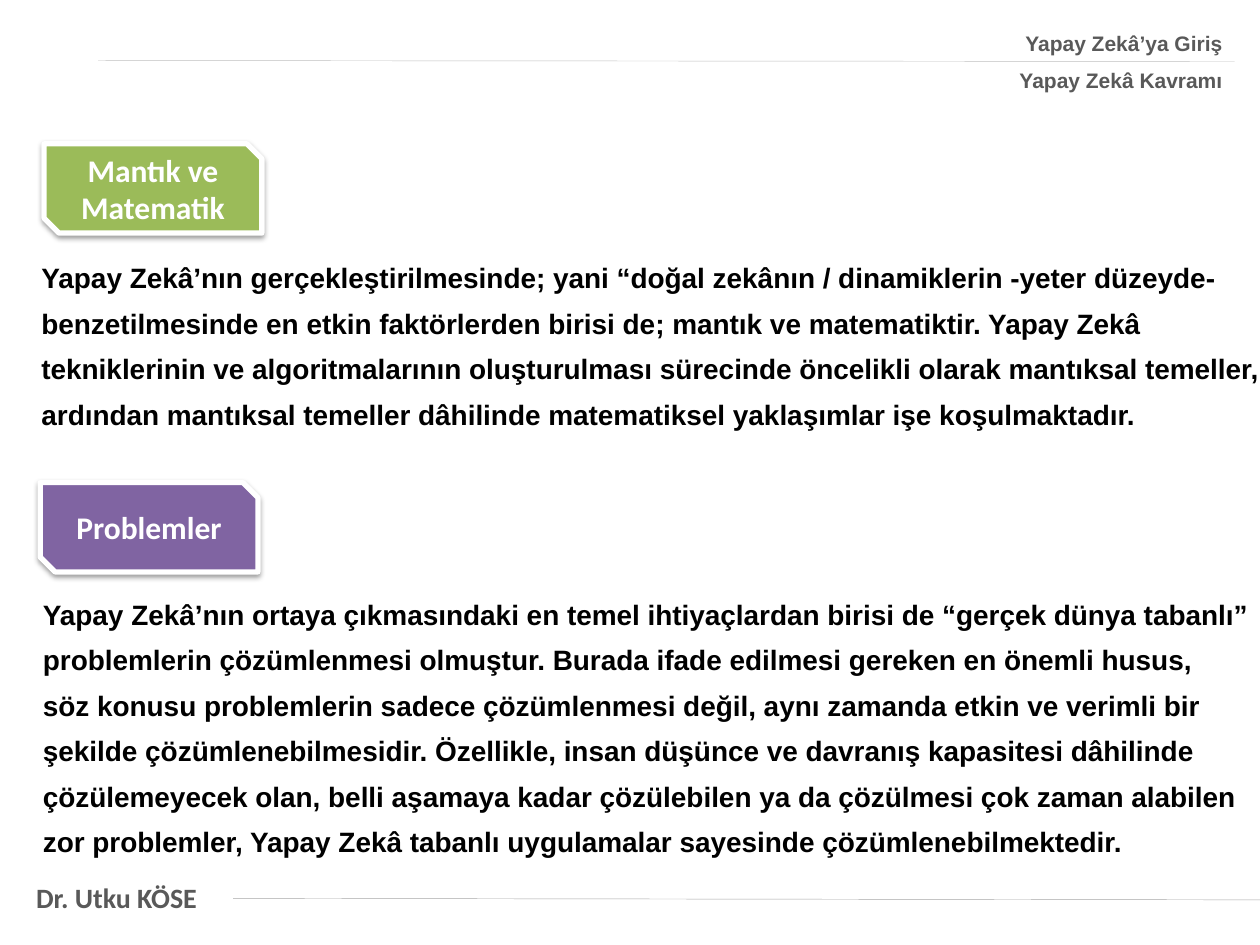
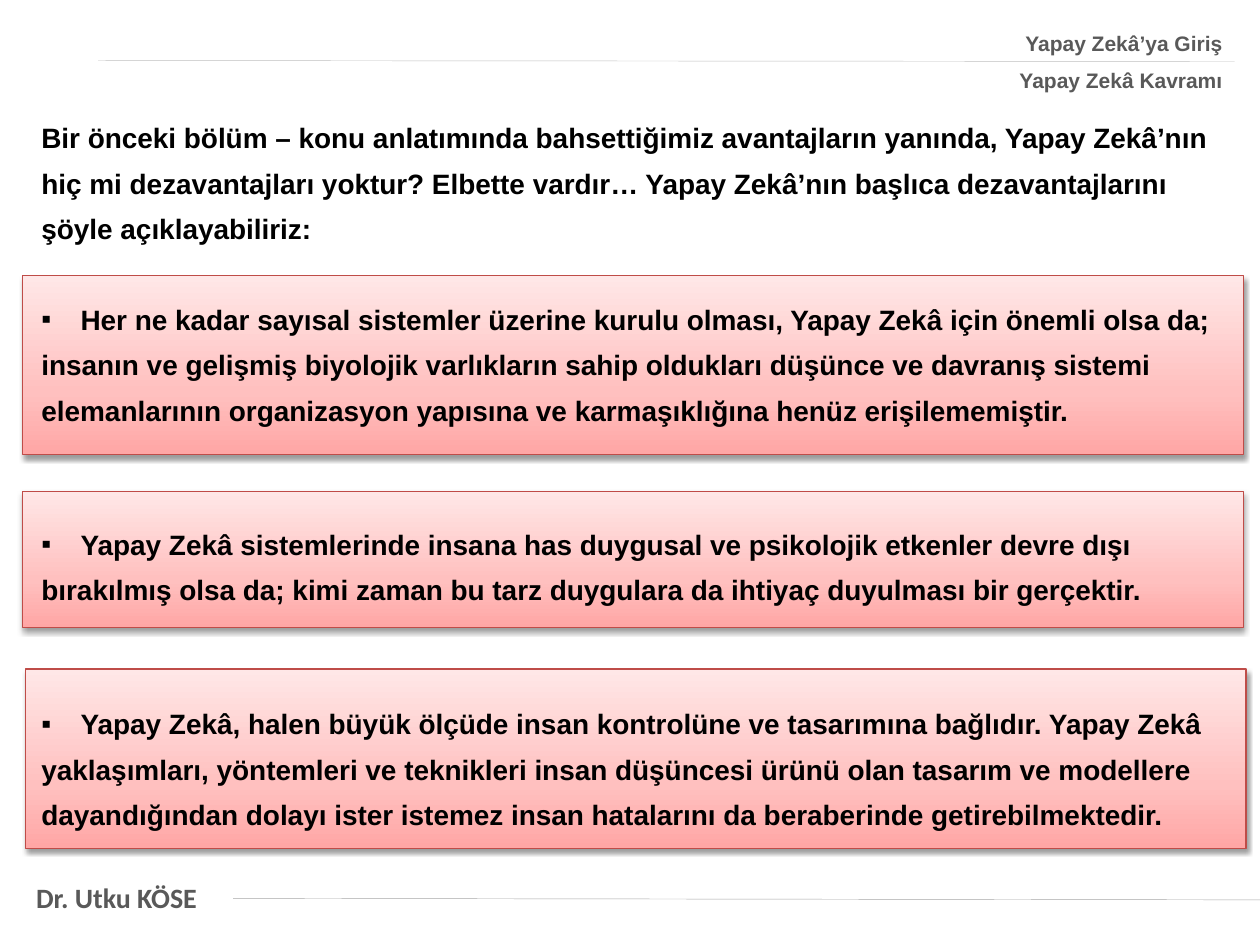
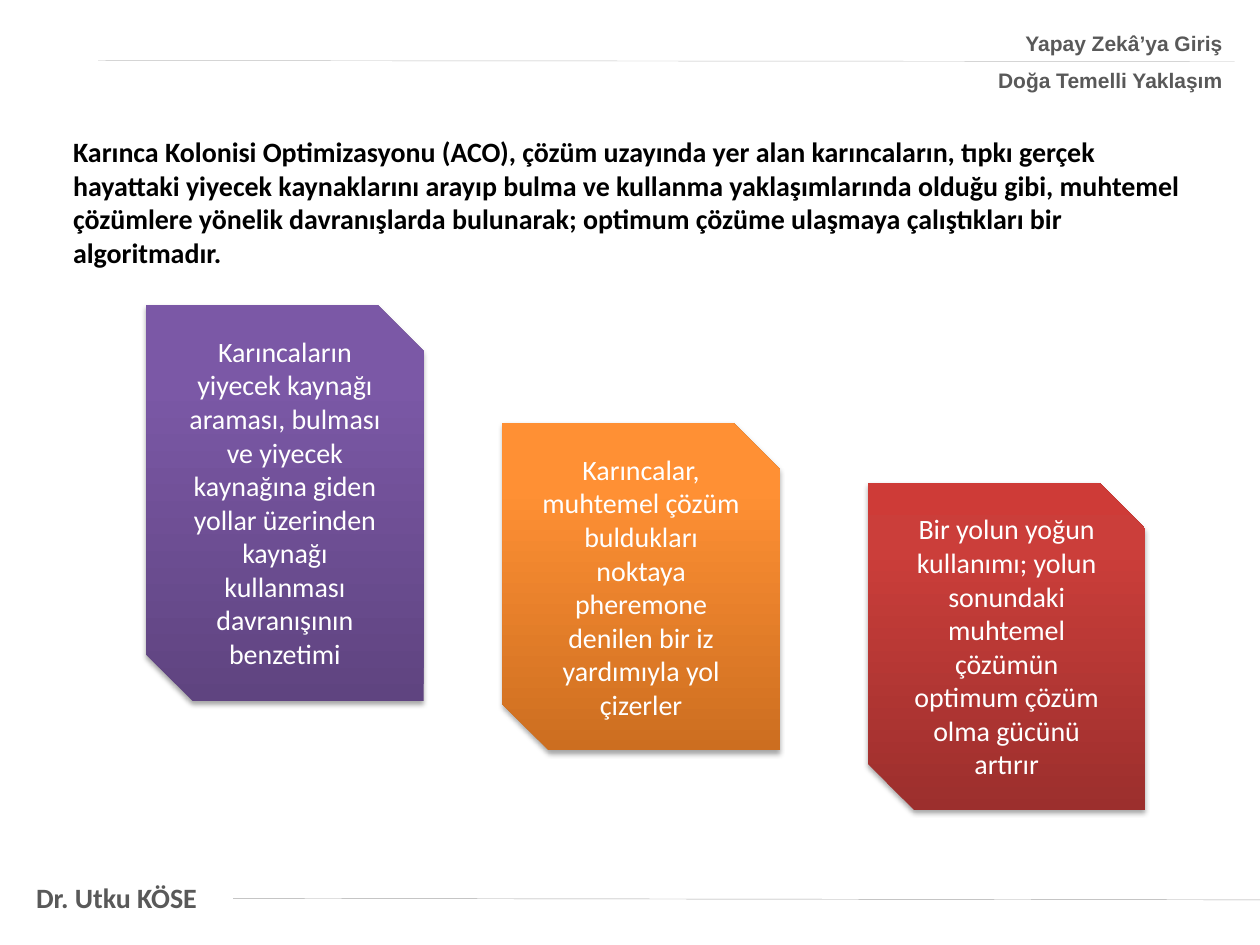
import pptx
import pptx.util
import pptx.dml.color
import pptx.enum.shapes
import pptx.enum.text
import pptx.oxml
import pptx.oxml.ns
from lxml import etree

Cm, Pt = pptx.util.Cm, pptx.util.Pt
SHAPE = pptx.enum.shapes.MSO_SHAPE
ALIGN = pptx.enum.text.PP_ALIGN
ANCHOR = pptx.enum.text.MSO_ANCHOR
qn = pptx.oxml.ns.qn

COLORS = {
    "text": "000000", "muted": "595959", "white": "FFFFFF",
    "header_rule": "BFBFBF", "footer_rule": "A6A6A6",
    "green": "9BBB59", "purple": "8064A2", "drawback_edge": "BF4C48",
}
# Gradient stops run from the bottom of a shape to its top.
GRADIENTS = {
    "drawback": [(0, "FFA6A5"), (35, "FFC0BF"), (100, "FFE7E7")],
    "purple": [(0, "5F4480"), (80, "7B58A6"), (100, "7C57A8")],
    "orange": [(0, "CC6E20"), (80, "FF9034"), (100, "FF9136")],
    "red": [(0, "9C2F2D"), (80, "CB3E3A"), (100, "CE3B37")],
}
FONTS = {
    "header": {"name": "Arial", "size": Pt(12), "bold": True, "color": "muted"},
    "footer": {"name": "Calibri", "size": Pt(16), "bold": True, "color": "muted"},
    "body": {"name": "Arial", "size": Pt(16), "bold": True, "color": "text"},
    "summary": {"name": "Calibri", "size": Pt(16), "bold": True, "color": "text"},
    "label": {"name": "Calibri", "size": Pt(18), "bold": True, "color": "white"},
    "step": {"name": "Calibri", "size": Pt(16), "bold": False, "color": "white"},
}
LINE_GAP = 6.8
ITEM_GAP = 50.5
BULLET_INDENT = Cm(0.79)

COURSE = "Yapay Zekâ’ya Giriş"
CONCEPT = "Yapay Zekâ Kavramı"

TOPICS = [
    {"label": "Mantık ve Matematik", "color": "green",
     "label_box": (0.89, 2.9, 4.39, 1.8), "text_box": (0.58, 5.13, 25.4, 3.63),
     "lines": [
         "Yapay Zekâ’nın gerçekleştirilmesinde; yani “doğal zekânın / dinamiklerin -yeter düzeyde-",
         "benzetilmesinde en etkin faktörlerden birisi de; mantık ve matematiktir. Yapay Zekâ",
         "tekniklerinin ve algoritmalarının oluşturulması sürecinde öncelikli olarak mantıksal temeller,",
         "ardından mantıksal temeller dâhilinde matematiksel yaklaşımlar işe koşulmaktadır."]},
    {"label": "Problemler", "color": "purple",
     "label_box": (0.81, 9.73, 4.39, 1.8), "text_box": (0.61, 11.91, 25.3, 5.44),
     "lines": [
         "Yapay Zekâ’nın ortaya çıkmasındaki en temel ihtiyaçlardan birisi de “gerçek dünya tabanlı”",
         "problemlerin çözümlenmesi olmuştur. Burada ifade edilmesi gereken en önemli husus,",
         "söz konusu problemlerin sadece çözümlenmesi değil, aynı zamanda etkin ve verimli bir",
         "şekilde çözümlenebilmesidir. Özellikle, insan düşünce ve davranış kapasitesi dâhilinde",
         "çözülemeyecek olan, belli aşamaya kadar çözülebilen ya da çözülmesi çok zaman alabilen",
         "zor problemler, Yapay Zekâ tabanlı uygulamalar sayesinde çözümlenebilmektedir."]},
]

DRAWBACK_INTRO = [
    "Bir önceki bölüm – konu anlatımında bahsettiğimiz avantajların yanında, Yapay Zekâ’nın",
    "hiç mi dezavantajları yoktur? Elbette vardır… Yapay Zekâ’nın başlıca dezavantajlarını",
    "şöyle açıklayabiliriz:",
]
DRAWBACKS = [
    ["Her ne kadar sayısal sistemler üzerine kurulu olması, Yapay Zekâ için önemli olsa da;",
     "insanın ve gelişmiş biyolojik varlıkların sahip oldukları düşünce ve davranış sistemi",
     "elemanlarının organizasyon yapısına ve karmaşıklığına henüz erişilememiştir."],
    ["Yapay Zekâ sistemlerinde insana has duygusal ve psikolojik etkenler devre dışı",
     "bırakılmış olsa da; kimi zaman bu tarz duygulara da ihtiyaç duyulması bir gerçektir."],
    ["Yapay Zekâ, halen büyük ölçüde insan kontrolüne ve tasarımına bağlıdır. Yapay Zekâ",
     "yaklaşımları, yöntemleri ve teknikleri insan düşüncesi ürünü olan tasarım ve modellere",
     "dayandığından dolayı ister istemez insan hatalarını da beraberinde getirebilmektedir."],
]
DRAWBACK_PANELS = [(0.46, 5.56, 24.61, 3.61), (0.46, 9.91, 24.61, 2.74),
                   (0.51, 13.49, 24.61, 3.61)]

ANT_SUMMARY = (
    "Karınca Kolonisi Optimizasyonu (ACO), çözüm uzayında yer alan karıncaların, tıpkı gerçek "
    "hayattaki yiyecek kaynaklarını arayıp bulma ve kullanma yaklaşımlarında olduğu gibi, "
    "muhtemel çözümlere yönelik davranışlarda bulunarak; optimum çözüme ulaşmaya çalıştıkları "
    "bir algoritmadır.")
ANT_STEPS = [
    ("purple", (2.95, 6.15, 5.59, 7.98),
     "Karıncaların yiyecek kaynağı araması, bulması ve yiyecek kaynağına giden yollar "
     "üzerinden kaynağı kullanması davranışının benzetimi"),
    ("orange", (10.13, 8.53, 5.59, 6.6),
     "Karıncalar, muhtemel çözüm buldukları noktaya pheremone denilen bir iz yardımıyla "
     "yol çizerler"),
    ("red", (17.5, 9.73, 5.59, 6.6),
     "Bir yolun yoğun kullanımı; yolun sonundaki muhtemel çözümün optimum çözüm olma "
     "gücünü artırır"),
]


def rgb(color):
    return pptx.dml.color.RGBColor.from_string(COLORS[color])


def cm_box(box):
    return [Cm(length) for length in box]


def place(placeholder, box):
    for side, length in zip(("left", "top", "width", "height"), cm_box(box)):
        setattr(placeholder, side, length)


def set_bullet(paragraph, mark=None):
    """Give the paragraph a hanging bullet, or clear the inherited one."""
    properties = paragraph._p.get_or_add_pPr()
    indent = BULLET_INDENT if mark else 0
    properties.set("marL", str(indent))
    properties.set("indent", str(-indent))
    if mark:
        etree.SubElement(properties, qn("a:buFont")).set("typeface", "Arial")
        etree.SubElement(properties, qn("a:buChar")).set("char", mark)
    else:
        etree.SubElement(properties, qn("a:buNone"))


def write(shape, lines, style, align=ALIGN.LEFT, anchor=ANCHOR.TOP, gap=0, item_starts=()):
    """Write one paragraph per line; lines numbered in item_starts open a bullet."""
    frame = shape.text_frame
    settings = {"word_wrap": True, "vertical_anchor": anchor,
                "auto_size": pptx.enum.text.MSO_AUTO_SIZE.NONE}
    for name, value in settings.items():
        setattr(frame, name, value)
    for number, line in enumerate(lines):
        paragraph = frame.add_paragraph() if number else frame.paragraphs[0]
        opens_item = number in item_starts
        set_bullet(paragraph, "▪" if opens_item else None)
        paragraph.alignment = align
        paragraph.space_before = Pt(ITEM_GAP if opens_item and number else 0)
        paragraph.space_after = Pt(gap)
        run = paragraph.add_run()
        run.text = line
        for name, value in FONTS[style].items():
            if name == "color":
                run.font.color.rgb = rgb(value)
            else:
                setattr(run.font, name, value)


def add_shadow(shape, opacity, distance):
    shape.shadow.inherit = False
    effects = shape.element.spPr.find(qn("a:effectLst"))
    shadow = etree.SubElement(effects, qn("a:outerShdw"))
    for name, value in {"blurRad": Pt(3.1), "dist": Pt(distance), "dir": 5400000,
                        "rotWithShape": 0}.items():
        shadow.set(name, str(value))
    black = etree.SubElement(shadow, qn("a:srgbClr"), val="000000")
    etree.SubElement(black, qn("a:alpha"), val=str(opacity * 1000))


def fill_gradient(shape, gradient):
    shape.fill.gradient()
    shape.fill.gradient_angle = 90
    stops = shape.element.spPr.find(".//" + qn("a:gsLst"))
    for stop in list(stops):
        stops.remove(stop)
    for position, color in GRADIENTS[gradient]:
        stop = etree.SubElement(stops, qn("a:gs"), pos=str(position * 1000))
        etree.SubElement(stop, qn("a:srgbClr"), val=color)


def add_rule(slide, ends, color):
    rule = slide.shapes.add_connector(
        pptx.enum.shapes.MSO_CONNECTOR.STRAIGHT, *cm_box(ends))
    rule.line.color.rgb = rgb(color)
    rule.line.width = Pt(0.25)
    etree.SubElement(rule.element.spPr, qn("a:effectLst"))
    return rule


def add_shared_parts(presentation, slide):
    """Build the rules and the author line on a slide, then move them to the master."""
    author = slide.shapes.add_textbox(*cm_box((0.48, 17.63, 3.9, 0.94)))
    write(author, ["Dr. Utku KÖSE"], "footer")
    shared = [author,
              add_rule(slide, (4.7, 18.11, 25.4, 18.14), "footer_rule"),
              add_rule(slide, (1.98, 1.22, 24.89, 1.24), "header_rule")]
    master_tree = presentation.slide_master.element.cSld.spTree
    for number, part in enumerate(shared, start=101):
        part.element.xpath("./*/p:cNvPr")[0].set("id", str(number))
        master_tree.insert_element_before(part.element, "p:extLst")


def add_slide(presentation, layout, section):
    slide = presentation.slides.add_slide(presentation.slide_layouts.get_by_name(layout))
    header = slide.shapes.title
    place(header, (14.5, 0.48, 10.4, 1.5))
    write(header, [COURSE, section], "header", ALIGN.RIGHT, gap=LINE_GAP)
    return slide


def add_body(slide, index, box, lines, style="body", gap=LINE_GAP, item_starts=()):
    body = slide.placeholders[index]
    place(body, box)
    write(body, lines, style, gap=gap, item_starts=item_starts)
    return body


def add_topic_label(slide, topic):
    label = slide.shapes.add_shape(SHAPE.SNIP_2_DIAG_RECTANGLE, *cm_box(topic["label_box"]))
    label.fill.solid()
    label.fill.fore_color.rgb = rgb(topic["color"])
    label.line.color.rgb = rgb("white")
    label.line.width = Pt(3)
    add_shadow(label, 38, 1.6)
    write(label, [topic["label"]], "label", ALIGN.CENTER, ANCHOR.MIDDLE)


def add_drawback_panel(slide, box, text_above):
    """Place a panel behind the text that lies over it."""
    panel = slide.shapes.add_shape(SHAPE.RECTANGLE, *cm_box(box))
    fill_gradient(panel, "drawback")
    panel.line.color.rgb = rgb("drawback_edge")
    panel.line.width = Pt(0.75)
    add_shadow(panel, 38, 1.6)
    text_above.element.addprevious(panel.element)


def add_ant_step(slide, gradient, box, text):
    step = slide.shapes.add_shape(SHAPE.SNIP_2_DIAG_RECTANGLE, *cm_box(box))
    fill_gradient(step, gradient)
    step.line.fill.background()
    add_shadow(step, 35, 1.8)
    write(step, [text], "step", ALIGN.CENTER)


def build_topics(presentation):
    slide = add_slide(presentation, "Two Content", CONCEPT)
    for index, topic in enumerate(TOPICS, start=1):
        add_body(slide, index, topic["text_box"], topic["lines"])
        add_topic_label(slide, topic)
    return slide


def build_drawbacks(presentation):
    slide = add_slide(presentation, "Two Content", CONCEPT)
    add_body(slide, 1, (0.58, 2.31, 24.49, 2.74), DRAWBACK_INTRO)
    lines, item_starts = [], []
    for drawback in DRAWBACKS:
        item_starts.append(len(lines))
        lines.extend(drawback)
    drawback_list = add_body(slide, 2, (0.58, 5.97, 24.49, 10.82), lines,
                             item_starts=item_starts)
    for box in DRAWBACK_PANELS:
        add_drawback_panel(slide, box, drawback_list)


def build_ant_colony(presentation):
    slide = add_slide(presentation, "Title and Content", "Doğa Temelli Yaklaşım")
    add_body(slide, 1, (1.22, 2.59, 23.4, 3), [ANT_SUMMARY], "summary", gap=0)
    for gradient, box, text in ANT_STEPS:
        add_ant_step(slide, gradient, box, text)


def main():
    presentation = pptx.Presentation()
    presentation.slide_width, presentation.slide_height = Cm(25.4), Cm(19.05)
    first_slide = build_topics(presentation)
    add_shared_parts(presentation, first_slide)
    build_drawbacks(presentation)
    build_ant_colony(presentation)
    presentation.save("out.pptx")


if __name__ == "__main__":
    main()
